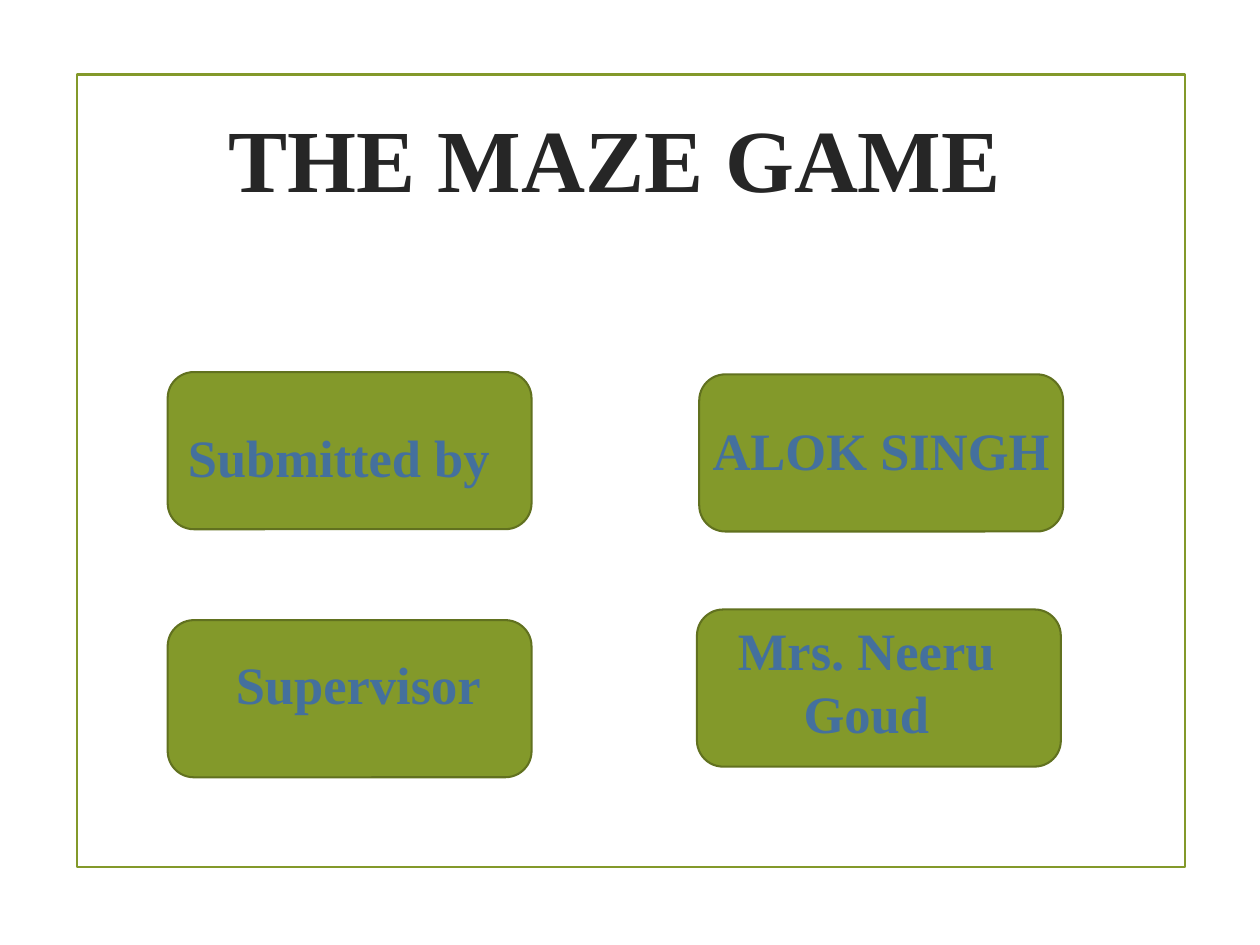
from pptx import Presentation
from pptx.dml.color import RGBColor
from pptx.enum.shapes import MSO_SHAPE
from pptx.enum.text import MSO_ANCHOR, MSO_AUTO_SIZE, PP_ALIGN
from pptx.util import Pt

RECT, ROUNDED = MSO_SHAPE.RECTANGLE, MSO_SHAPE.ROUNDED_RECTANGLE
TOP, CENTER, NO_FIT = MSO_ANCHOR.TOP, PP_ALIGN.CENTER, MSO_AUTO_SIZE.NONE

GREEN = RGBColor(0x83, 0x99, 0x2A)
DARK_GREEN = RGBColor(0x61, 0x71, 0x1F)
BLUE = RGBColor(0x44, 0x70, 0x9D)
CHARCOAL = RGBColor(0x26, 0x26, 0x26)

FONT = {"name": "Times New Roman", "bold": True}
TITLE_FONT = {**FONT, "size": Pt(54)}
LABEL_FONT = {**FONT, "size": Pt(32)}

CARD_W, CARD_H = 221.8, 95.8
CARDS = [
    ("Submitted by", (102.2, 226.8), (90, 255.6, 233.3, 46.1)),
    ("Supervisor", (102.2, 378), (123.8, 393.8, 189.4, 46.1)),
    ("Mrs. Neeru Goud", (424.8, 371.5), (408.2, 373, 239.8, 85)),
    ("ALOK SINGH", (426.2, 228.2), (420.5, 251.3, 233.3, 46.1)),
]


def set_text(tf, text, font, color, wrap=True):
    tf.text = text
    for key, value in {"word_wrap": wrap, "auto_size": NO_FIT, "vertical_anchor": TOP}.items():
        setattr(tf, key, value)
    p = tf.paragraphs[0]
    p.alignment = CENTER
    r = p.runs[0]
    for key, value in font.items():
        setattr(r.font, key, value)
    r.font.color.rgb = color


def add_box(s, kind, box, line, fill=None):
    sp = s.shapes.add_shape(kind, *map(Pt, box))
    sp.shadow.inherit = False
    if fill is None:
        sp.fill.background()
    else:
        sp.fill.solid()
        sp.fill.fore_color.rgb = fill
    sp.line.color.rgb = line
    sp.line.width = Pt(1.25)


def add_title(s, box):
    sp = s.shapes.title
    for key, value in zip(("left", "top", "width", "height"), box):
        setattr(sp, key, Pt(value))
    set_text(sp.text_frame, "THE MAZE GAME", TITLE_FONT, CHARCOAL, wrap=False)


def add_label(s, text, box):
    sp = s.shapes.add_textbox(*map(Pt, box))
    set_text(sp.text_frame, text, LABEL_FONT, BLUE)


def add_cards(s):
    for _, corner, _ in CARDS:
        add_box(s, ROUNDED, (*corner, CARD_W, CARD_H), DARK_GREEN, GREEN)
    for text, _, box in CARDS:
        add_label(s, text, box)


def main():
    prs = Presentation()
    prs.slide_width, prs.slide_height = Pt(768), Pt(576)
    s = prs.slides.add_slide(prs.slide_layouts[5])
    add_box(s, RECT, (46.8, 45.4, 675.4, 483.1), GREEN)
    add_title(s, (128.2, 59.8, 493.2, 72.7))
    add_cards(s)
    prs.save("out.pptx")


if __name__ == "__main__":
    main()
